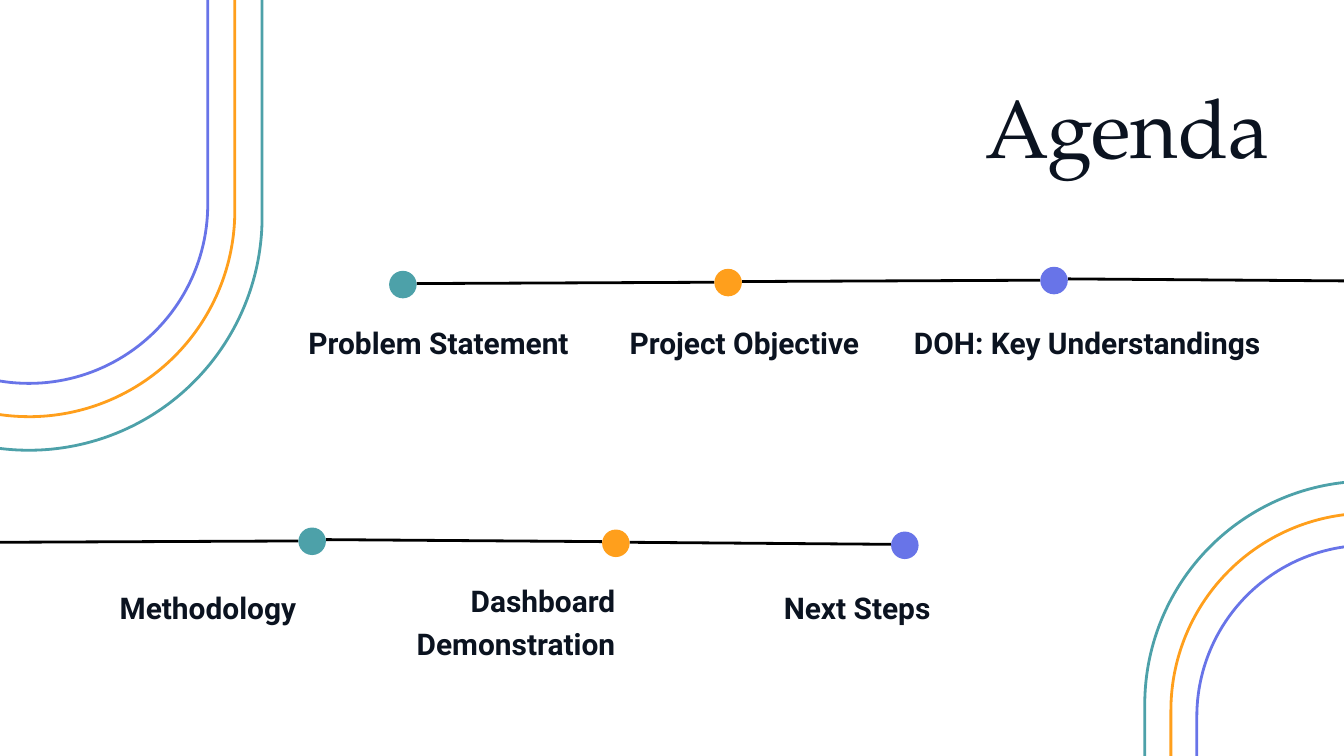
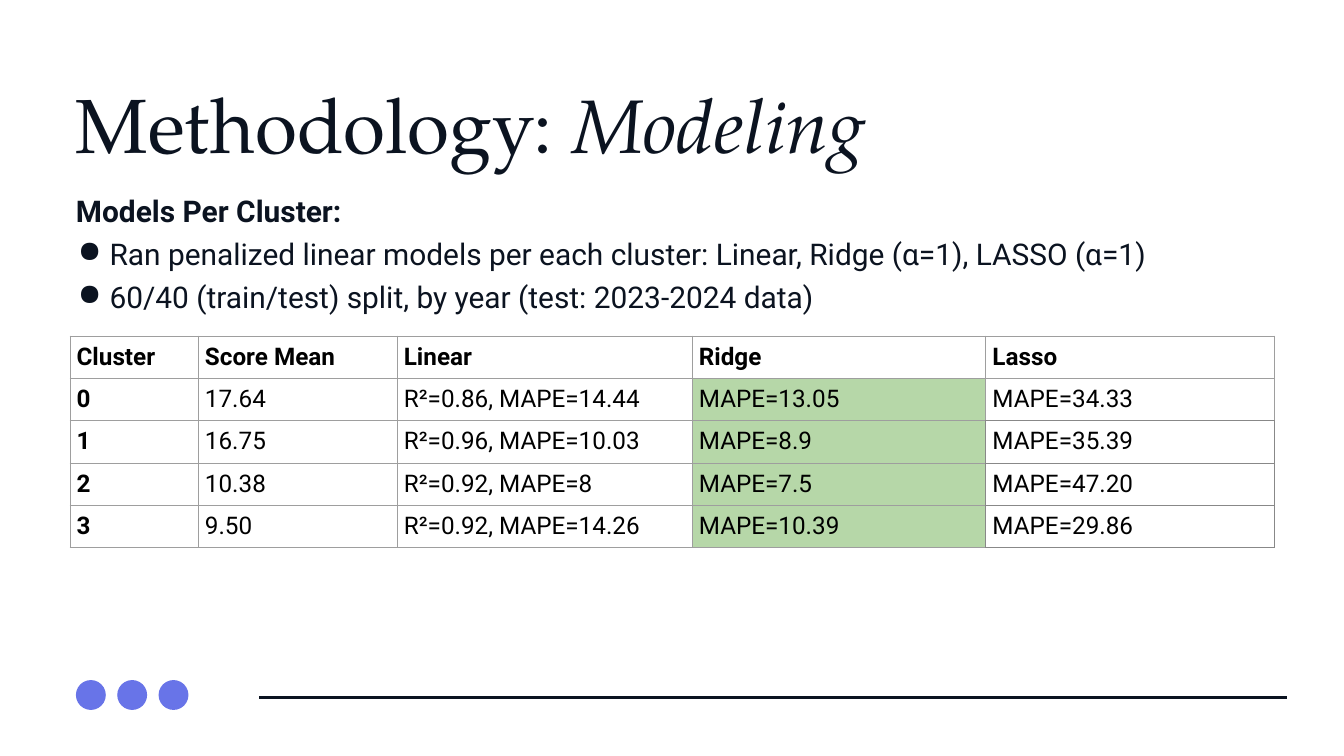
from lxml import etree
from pptx import Presentation
from pptx import util as u
from pptx.dml.color import RGBColor
from pptx.enum import shapes, text
from pptx.oxml import ns

# The slide is a grid of 20 columns by 11.25 rows, one inch each
COLS, ROWS = 20, 11.25
INK, TEAL, ORANGE, VIOLET = "0B1320", "4DA1A9", "FF9F1C", "6874E8"
BLACK, GREEN, GREY, DARK_GREY = "000000", "B6D7A8", "9E9E9E", "888888"
ACCENTS = (TEAL, ORANGE, VIOLET)
SERIF, SANS = "TeX Gyre Pagella", "Roboto"
LEFT, RIGHT = text.PP_ALIGN.LEFT, text.PP_ALIGN.RIGHT
DOT = 0.41
TITLE = dict(name=SERIF, size=u.Pt(88), bold=False)
LABEL = dict(name=SANS, size=u.Pt(32), bold=True)
CELL = dict(name=SANS, size=u.Pt(26))
FRAME = dict(margin_left=0, margin_top=0, margin_right=0, margin_bottom=0, word_wrap=True,
             auto_size=text.MSO_AUTO_SIZE.NONE, vertical_anchor=text.MSO_ANCHOR.TOP)


def rgb(value):
    return RGBColor.from_string(value)


def grid(*lengths):
    return [u.Inches(n) for n in lengths]


def assign(target, values):
    for name, value in values.items():
        setattr(target, name, value)


def sub(parent, tag, **attrs):
    return etree.SubElement(parent, ns.qn(tag), attrs)


def write(p, runs, fmt, color=INK, align=LEFT):
    """Fill a paragraph with (words, extra format) runs."""
    assign(p, dict(alignment=align, line_spacing=1.2))
    for words, extra in runs:
        r = p.add_run()
        r.text = words
        assign(r.font, {**fmt, **extra})
        r.font.color.rgb = rgb(color)


def add_title(prs, box, runs, align=LEFT):
    """Add a title-only slide and format its title."""
    slide = prs.slides.add_slide(prs.slide_layouts[5])
    sp = slide.shapes.title
    assign(sp, dict(zip(("left", "top", "width", "height"), grid(*box))))
    assign(sp.text_frame, FRAME)
    write(sp.text_frame.paragraphs[0], runs, TITLE, align=align)
    return slide


def add_text(slide, box):
    tf = slide.shapes.add_textbox(*grid(*box)).text_frame
    assign(tf, FRAME)
    return tf


def add_label(slide, words, box, align=LEFT):
    write(add_text(slide, box).paragraphs[0], [(words, {})], LABEL, align=align)


def add_bullet(tf, words):
    p = tf.add_paragraph()
    write(p, [(words, dict(bold=False))], LABEL)
    pPr = p._p.get_or_add_pPr()
    pPr.set("marL", str(u.Inches(0.5)))
    pPr.set("indent", str(u.Inches(-0.47)))
    sub(sub(pPr, "a:buClr"), "a:srgbClr", val=INK)
    sub(pPr, "a:buChar", char="●")


def add_dot(slide, x, y, color, size=DOT):
    sp = slide.shapes.add_shape(shapes.MSO_SHAPE.OVAL, *grid(x, y, size, size))
    sp.shadow.inherit = False
    sp.fill.solid()
    sp.fill.fore_color.rgb = rgb(color)
    sp.line.fill.background()


def add_line(slide, x1, y1, x2, y2, color=BLACK):
    line = slide.shapes.add_connector(shapes.MSO_CONNECTOR.STRAIGHT, *grid(x1, y1, x2, y2))
    line.line.color.rgb = rgb(color)
    line.line.width = u.Pt(3)
    sub(line._element.spPr, "a:effectLst")


def add_arches(slide, cx, cy, w, h, rotation=0):
    """Three nested arches round one centre."""
    for color, share in zip(ACCENTS, (1, 0.883, 0.767)):
        aw, ah = w * share, h * share
        sp = slide.shapes.add_shape(shapes.MSO_SHAPE.ROUND_2_SAME_RECTANGLE,
                                    *grid(cx - aw / 2, cy - ah / 2, aw, ah))
        sp.adjustments[0], sp.adjustments[1] = 0.5, 0
        sp.rotation = rotation
        sp.shadow.inherit = False
        sp.fill.background()
        sp.line.color.rgb = rgb(color)
        sp.line.width = u.Pt(3)


def add_timeline(slide, dots, top, step, starts, ends, heights):
    """Lines from starts to ends, with the dots over them."""
    for x1, x2, (y1, y2) in zip(starts, ends, heights):
        add_line(slide, x1, y1, x2, y2)
    for i, (x, color) in enumerate(zip(dots, ACCENTS)):
        add_dot(slide, x, top + i * step, color)


def set_borders(cell, color):
    tcPr = cell._tc.get_or_add_tcPr()
    for i, side in enumerate("LRTB"):
        ln = etree.Element(ns.qn(f"a:ln{side}"), {"w": str(u.Pt(0.75))})
        sub(sub(ln, "a:solidFill"), "a:srgbClr", val=color)
        tcPr.insert(i, ln)


def add_scores(slide, x, y, widths, row_height, rows):
    frame = slide.shapes.add_table(len(rows), len(widths),
                                   *grid(x, y, sum(widths), row_height * len(rows)))
    table = frame.table
    assign(table, dict(first_row=False, horz_banding=False))
    for col, width in zip(table.columns, widths):
        col.width = u.Inches(width)
    for r, row in enumerate(rows):
        table.rows[r].height = u.Inches(row_height)
        for c, words in enumerate(row):
            cell = table.cell(r, c)
            assign(cell, {f"margin_{s}": u.Inches(0.1) for s in ("left", "top", "right", "bottom")})
            p = cell.text_frame.paragraphs[0]
            write(p, [(words, dict(bold=r == 0 or c == 0))], CELL, BLACK)
            p.line_spacing = 1.0
            if r and c == 3:
                cell.fill.solid()
                cell.fill.fore_color.rgb = rgb(GREEN)
            else:
                cell.fill.background()
            set_borders(cell, DARK_GREY if r > 1 and c == 4 else GREY)


def add_footer(slide):
    for i in range(3):
        add_dot(slide, 1.13 + i * 0.615, 10.12, VIOLET, 0.445)
    add_line(slide, 3.86, 10.38, 19.15, 10.38, INK)


def build_agenda(prs):
    slide = add_title(prs, (10.85, 0.84, 8.04, 1.48), [("Agenda", {})], RIGHT)
    # Upper timeline runs off to the right, lower one comes in from the left
    upper, lower = (5.79, 10.63, 15.48), (4.44, 8.96, 13.26)
    add_timeline(slide, upper, 4.03, -0.03, [x + DOT for x in upper], [*upper[1:], COLS],
                 [(4.22, 4.2), (4.19, 4.17), (4.15, 4.18)])
    add_timeline(slide, lower, 7.85, 0.03, [0, *(x + DOT for x in lower[:2])], lower,
                 [(8.07, 8.05), (8.03, 8.06), (8.07, 8.1)])
    # Agenda items
    for words, x, w in (("Problem Statement", 4.59, 4.21), ("Project Objective", 9.37, 3.68),
                        ("DOH: Key Understandings", 13.6, 5.62)):
        add_label(slide, words, (x, 4.73, w, 0.54))
    add_label(slide, "Methodology", (1.78, 8.67, 2.81, 0.54))
    add_label(slide, "Dashboard Demonstration", (5.48, 8.57, 3.68, 1.19), RIGHT)
    add_label(slide, "Next Steps", (10.05, 8.67, 3.8, 0.54), RIGHT)
    # Corner arches
    add_arches(slide, 20.36, ROWS, 6.65, 8.18)
    add_arches(slide, 0.43, 2.43, 6.94, 8.54, 180)


def build_modeling(prs):
    slide = add_title(prs, (1.13, 0.87, 17.24, 1.38),
                      [("Methodology: ", dict(size=u.Pt(82))),
                       ("Modeling", dict(size=u.Pt(81), italic=True))])
    add_scores(slide, 1.04, 5, (1.91, 2.96, 4.39, 4.37, 4.29), 0.63, [
        ("Cluster", "Score Mean", "Linear", "Ridge", "Lasso"),
        ("0", "17.64", "R²=0.86, MAPE=14.44", "MAPE=13.05", "MAPE=34.33"),
        ("1", "16.75", "R²=0.96, MAPE=10.03", "MAPE=8.9", "MAPE=35.39"),
        ("2", "10.38", "R²=0.92, MAPE=8", "MAPE=7.5", "MAPE=47.20"),
        ("3", "9.50", "R²=0.92, MAPE=14.26", "MAPE=10.39", "MAPE=29.86"),
    ])
    # Model notes
    tf = add_text(slide, (1.13, 2.76, 18.1, 1.83))
    write(tf.paragraphs[0], [("Models Per Cluster:", {})], LABEL)
    add_bullet(tf, "Ran penalized linear models per each cluster: Linear, Ridge (α=1), LASSO (α=1)")
    add_bullet(tf, "60/40 (train/test) split, by year (test: 2023-2024 data)")
    add_footer(slide)


def main():
    prs = Presentation()
    prs.slide_width, prs.slide_height = grid(COLS, ROWS)
    build_agenda(prs)
    build_modeling(prs)
    prs.save("out.pptx")


if __name__ == "__main__":
    main()
